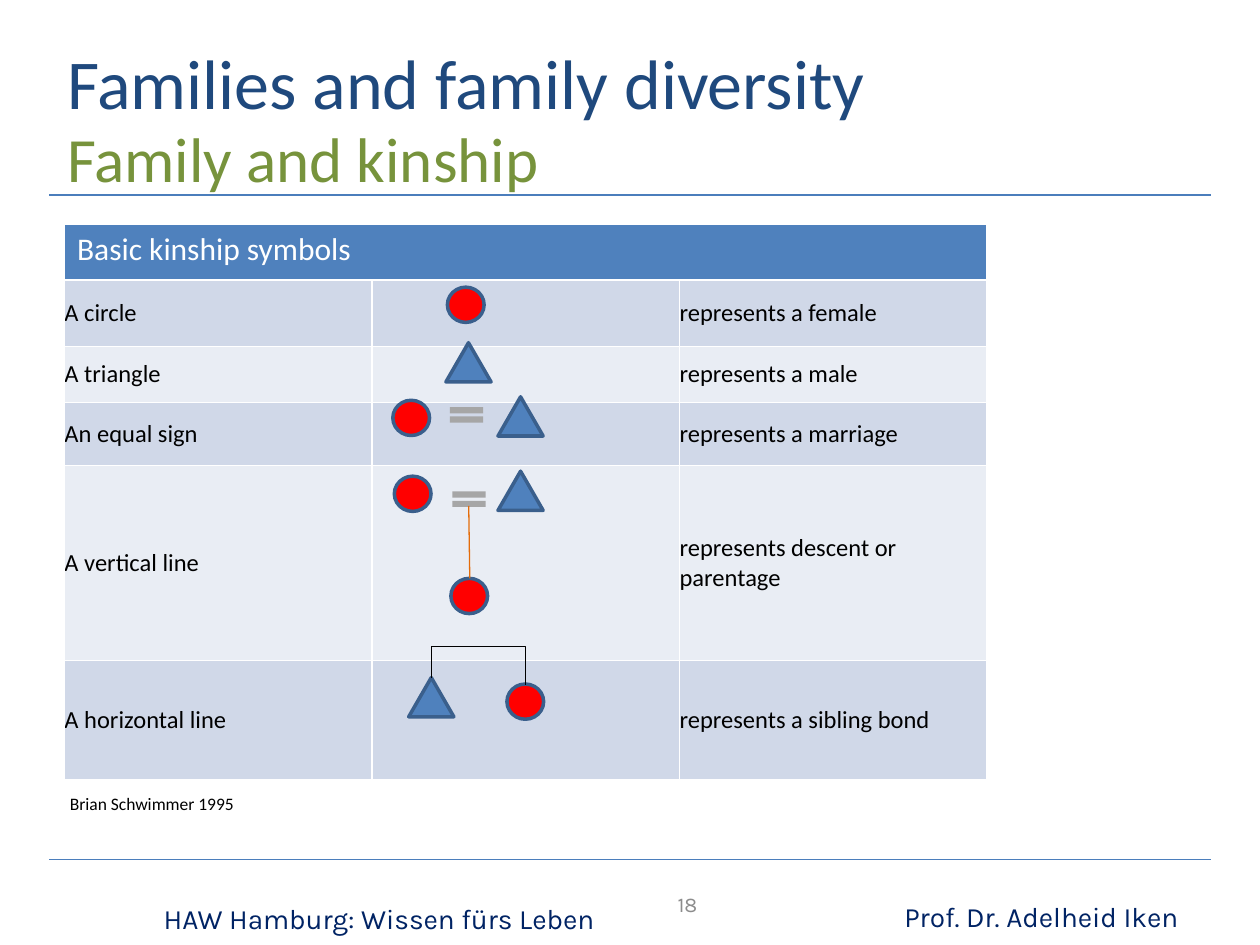
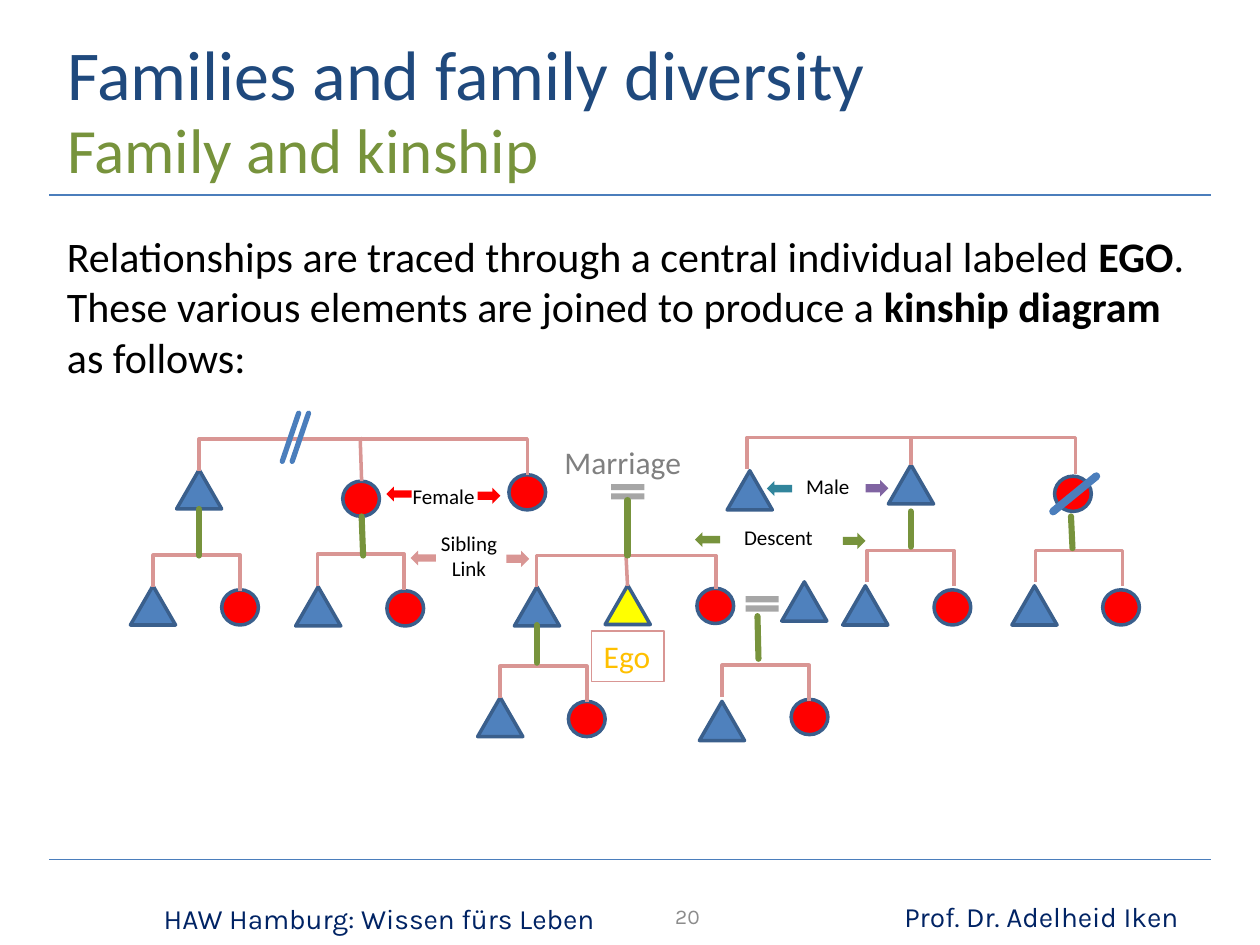
from lxml.etree import SubElement
from pptx import Presentation
from pptx.dml.color import RGBColor
from pptx.enum.shapes import MSO_CONNECTOR, MSO_SHAPE
from pptx.enum.text import MSO_ANCHOR, MSO_AUTO_SIZE, PP_ALIGN
from pptx.oxml.ns import qn
from pptx.util import Cm, Pt

NAVY, BLUE, GREEN, PINK = "1F497D", "4F81BD", "77933C", "D99694"
RED, GREY, BLACK, OUTLINE, RULE = "FF0000", "A6A6A6", "000000", "3A5F8C", "4B7EBC"
NO_MARGINS = {"margin_left": 0, "margin_right": 0, "margin_top": 0, "margin_bottom": 0}


def write(frame, paragraphs, size, color, font="Calibri", align=PP_ALIGN.LEFT, **frame_format):
    """Fill a text frame; parts between asterisks become bold."""
    for name, value in frame_format.items():
        setattr(frame, name, value)
    for index, text in enumerate(paragraphs):
        paragraph = frame.add_paragraph() if index else frame.paragraphs[0]
        paragraph.alignment = align
        for part, piece in enumerate(text.split("*")):
            run = paragraph.add_run()
            run.text = piece
            run_format = {"name": font, "size": Pt(size), "bold": part % 2 == 1}
            for name, value in run_format.items():
                setattr(run.font, name, value)
            run.font.color.rgb = RGBColor.from_string(color)


def draw_line(slide, kind, ends, color, width):
    connector = slide.shapes.add_connector(kind, *(Cm(end) for end in ends))
    connector.line.color.rgb = RGBColor.from_string(color)
    connector.line.width = Pt(width)
    if width >= 3:
        connector.line._get_or_add_ln().set("cap", "rnd")
    SubElement(connector.element.spPr, qn("a:effectLst"))
    return connector


presentation = Presentation()
presentation.slide_width = Cm(25.4)
presentation.slide_height = Cm(19.05)
layout = presentation.slide_layouts[1]
symbols_slide = presentation.slides.add_slide(layout)
diagram_slide = presentation.slides.add_slide(layout)

# Rules and footers shared through the layout
shared = [draw_line(symbols_slide, MSO_CONNECTOR.STRAIGHT, (0.99, y, 24.41, y), RULE, 0.75)
          for y in (3.93, 17.32)]
for text, left, top, width, align in (
    ("HAW Hamburg: Wissen fürs Leben", 3.3, 18.17, 9.2, PP_ALIGN.LEFT),
    ("Prof. Dr. Adelheid Iken", 17.76, 18.14, 6, PP_ALIGN.RIGHT),
):
    footer = symbols_slide.shapes.add_textbox(Cm(left), Cm(top), Cm(width), Cm(0.56))
    write(footer.text_frame, [text], 16, "002364", "Karla", align, word_wrap=True, **NO_MARGINS)
    shared.append(footer)
for shape in shared:
    layout.shapes.element.append(shape.element)

# Titles, subtitles and slide numbers
for slide, title_top, number, number_top in (
    (symbols_slide, 0.71, "18", 17.71),
    (diagram_slide, 0.53, "20", 17.95),
):
    title, subtitle = slide.shapes.title, slide.placeholders[1]
    number_box = slide.shapes.add_textbox(Cm(10.9), Cm(number_top), Cm(5.92), Cm(1.02))
    for shape, top, width, height in (
        (title, title_top, 17.5, 1.85), (subtitle, title_top + 1.45, 16.51, 2.01),
    ):
        shape.left, shape.top = Cm(1.1), Cm(top)
        shape.width, shape.height = Cm(width), Cm(height)
    middle = {"vertical_anchor": MSO_ANCHOR.MIDDLE, "word_wrap": True,
              "auto_size": MSO_AUTO_SIZE.NONE}
    write(title.text_frame, ["Families and family diversity"], 40, NAVY, **middle)
    write(subtitle.text_frame, ["Family and kinship"], 36, GREEN, **middle)
    write(number_box.text_frame, [number], 12, "8C8C8C", "Karla", PP_ALIGN.CENTER, **middle)
    properties = subtitle.text_frame.paragraphs[0]._p.get_or_add_pPr()
    properties.set("marL", "0")
    properties.set("indent", "0")
    SubElement(properties, qn("a:buNone"))

# Table of kinship symbols
meanings = [
    ("A circle", "represents a female"),
    ("A triangle", "represents a male"),
    ("An equal sign", "represents a marriage"),
    ("A vertical line", "represents descent or parentage"),
    ("A horizontal line", "represents a sibling bond"),
]
row_heights = [1.12, 1.35, 1.12, 1.27, 3.93, 2.41]
table = symbols_slide.shapes.add_table(
    len(row_heights), 3, Cm(1.3), Cm(4.52), Cm(18.6), Cm(sum(row_heights))).table
for column in table.columns:
    column.width = Cm(6.2)
for index, height in enumerate(row_heights):
    table.rows[index].height = Cm(height)
    for cell in table.rows[index].cells:
        cell.fill.solid()
        fill = BLUE if index == 0 else ("E9EDF4", "D0D8E8")[index % 2]
        cell.fill.fore_color.rgb = RGBColor.from_string(fill)
table.cell(0, 0).merge(table.cell(0, 2))
write(table.cell(0, 0).text_frame, ["Basic kinship symbols"], 18, "FFFFFF")
for row, (symbol, meaning) in enumerate(meanings, start=1):
    for column, text in ((0, symbol), (2, meaning)):
        cell = table.cell(row, column)
        for name, value in {**NO_MARGINS, "vertical_anchor": MSO_ANCHOR.MIDDLE}.items():
            setattr(cell, name, value)
        write(cell.text_frame, [text], 14, BLACK)

# Symbols: preset, width, height, fill, outline
FEMALE = (MSO_SHAPE.OVAL, 0.74, 0.71, RED, OUTLINE)
MALE = (MSO_SHAPE.ISOSCELES_TRIANGLE, 0.91, 0.79, BLUE, OUTLINE)
EGO = (MSO_SHAPE.ISOSCELES_TRIANGLE, 0.91, 0.79, "FFFF00", OUTLINE)
MARRIAGE = (MSO_SHAPE.MATH_EQUAL, 0.91, 0.53, GREY, None)
LEFT_ARROW = (MSO_SHAPE.LEFT_ARROW, 0.51, 0.3)
RIGHT_ARROW = (MSO_SHAPE.RIGHT_ARROW, 0.46, 0.33)
symbols = [
    (symbols_slide, FEMALE, [(9.02, 5.79), (7.92, 8.07), (7.95, 9.6), (9.09, 11.66),
                             (10.22, 13.79)]),
    (symbols_slide, MALE, [(8.99, 6.91), (10.04, 8), (10.04, 9.5), (8.24, 13.66)]),
    (symbols_slide, MARRIAGE, [(8.95, 8.1), (9, 9.8)]),
    (diagram_slide, FEMALE, [(6.91, 9.7), (10.26, 9.57), (21.26, 9.6), (4.47, 11.89),
                             (7.8, 11.91), (18.83, 11.89), (22.23, 11.89), (14.05, 11.86),
                             (11.46, 14.14), (15.95, 14.1)]),
    (diagram_slide, MALE, [(3.56, 9.47), (14.66, 9.49), (17.91, 9.37), (2.63, 11.81),
                           (5.96, 11.83), (16.99, 11.81), (20.4, 11.81), (10.37, 11.83),
                           (9.63, 14.06), (14.1, 14.14), (15.76, 11.73)]),
    (diagram_slide, EGO, [(12.2, 11.8)]),
    (diagram_slide, MARRIAGE, [(12.2, 9.65), (14.91, 11.91)]),
]
for arrow, color, place in (
    (LEFT_ARROW, RED, (7.79, 9.81)), (RIGHT_ARROW, RED, (9.63, 9.83)),
    (LEFT_ARROW, PINK, (8.28, 11.1)), (RIGHT_ARROW, PINK, (10.21, 11.1)),
    (LEFT_ARROW, "31859C", (15.46, 9.7)), (RIGHT_ARROW, "8064A2", (17.45, 9.68)),
    (LEFT_ARROW, GREEN, (14.01, 10.73)), (RIGHT_ARROW, GREEN, (16.99, 10.74)),
):
    symbols.append((diagram_slide, (*arrow, color, None), [place]))
for slide, (preset, width, height, fill, outline), places in symbols:
    for left, top in places:
        symbol = slide.shapes.add_shape(preset, Cm(left), Cm(top), Cm(width), Cm(height))
        symbol.shadow.inherit = False
        symbol.fill.solid()
        symbol.fill.fore_color.rgb = RGBColor.from_string(fill)
        if outline:
            symbol.line.color.rgb = RGBColor.from_string(outline)
            symbol.line.width = Pt(2)
        else:
            symbol.line.fill.background()

# Sibling brackets: left, top, span, drop from the left end to the right end
bracket_rise = 0.64
brackets = [(symbols_slide, BLACK, 0.75, (8.7, 13.67, 1.9, 0.13))]
brackets += [(diagram_slide, PINK, 2, (left, top, 1.75, 0.08)) for left, top in (
    (3.09, 11.83), (6.4, 11.81), (17.48, 11.74), (20.88, 11.74), (10.08, 14.07), (14.56, 14.05))]
brackets += [(diagram_slide, PINK, 2, place) for place in (
    (4.01, 9.49, 6.62, 0.09), (15.06, 9.46, 6.62, 0.09), (10.82, 11.84, 3.61, 0.03))]
for slide, color, width, (left, top, span, drop) in brackets:
    # A quarter turn swaps span and drop around the shared centre
    center_x, center_y = left + span / 2, top + drop / 2
    ends = (center_x + drop / 2, center_y - span / 2, center_x - drop / 2, center_y + span / 2)
    bracket = draw_line(slide, MSO_CONNECTOR.ELBOW, ends, color, width)
    bracket.element.spPr.find(qn("a:xfrm")).set("rot", "16200000")
    geometry = bracket.element.spPr.find(qn("a:prstGeom"))
    adjustments = geometry.find(qn("a:avLst"))
    if adjustments is None:
        adjustments = SubElement(geometry, qn("a:avLst"))
    SubElement(adjustments, qn("a:gd"), name="adj1",
               fmla=f"val {round(-bracket_rise / drop * 100000)}")

# Straight lines
lines = [
    (symbols_slide, "E46C0A", 0.75, [(9.45, 10.2, 9.47, 11.66)]),
    (diagram_slide, PINK, 2, [(12.62, 11.2, 12.65, 11.81), (18.36, 8.81, 18.36, 9.37),
                              (7.26, 8.81, 7.29, 9.7)]),
    (diagram_slide, GREEN, 3.5, [(4.01, 10.26, 4.01, 11.2), (18.36, 10.31, 18.36, 11.02),
                                 (10.82, 12.6, 10.82, 13.36), (15.27, 12.42, 15.29, 13.28),
                                 (21.59, 10.41, 21.62, 11.05), (12.65, 10.08, 12.65, 11.2),
                                 (7.29, 10.41, 7.32, 11.2)]),
    (diagram_slide, RULE, 4.5, [(22.1, 9.6, 21.23, 10.31)]),
    (diagram_slide, RULE, 3, [(6.02, 8.33, 5.69, 9.3), (6.22, 8.33, 5.89, 9.3)]),
]
for slide, color, width, paths in lines:
    for ends in paths:
        draw_line(slide, MSO_CONNECTOR.STRAIGHT, ends, color, width)

# Source, explanation and diagram labels
source = symbols_slide.shapes.add_textbox(Cm(1.16), Cm(15.86), Cm(8.53), Cm(0.7))
write(source.text_frame, ["Brian Schwimmer 1995"], 10, BLACK, word_wrap=True)
explanation = diagram_slide.shapes.add_textbox(Cm(1.1), Cm(4.52), Cm(23.39), Cm(3.33))
write(explanation.text_frame, [
    "Relationships are traced through a central individual labeled *EGO*.",
    "These various elements are joined to produce a *kinship diagram* as follows:",
], 24, BLACK, word_wrap=True)
for paragraphs, (left, top, width, height), size, color, align in (
    (["Female"], (8.07, 9.63, 1.78, 0.76), 12, BLACK, PP_ALIGN.LEFT),
    (["Male"], (16, 9.42, 1.4, 0.76), 12, BLACK, PP_ALIGN.LEFT),
    (["Descent"], (14.75, 10.44, 1.9, 0.76), 12, BLACK, PP_ALIGN.LEFT),
    (["Sibling", "Link"], (8.63, 10.57, 1.65, 1.27), 12, BLACK, PP_ALIGN.CENTER),
    (["Marriage"], (11.13, 8.81, 2.9, 1.02), 18, "808080", PP_ALIGN.LEFT),
    (["Ego"], (11.92, 12.72, 1.47, 1.02), 18, "FFC000", PP_ALIGN.LEFT),
):
    label = diagram_slide.shapes.add_textbox(Cm(left), Cm(top), Cm(width), Cm(height))
    write(label.text_frame, paragraphs, size, color, align=align, word_wrap=False)
    if paragraphs == ["Ego"]:
        label.line.color.rgb = RGBColor.from_string(PINK)
        label.line.width = Pt(0.75)

presentation.save("out.pptx")
